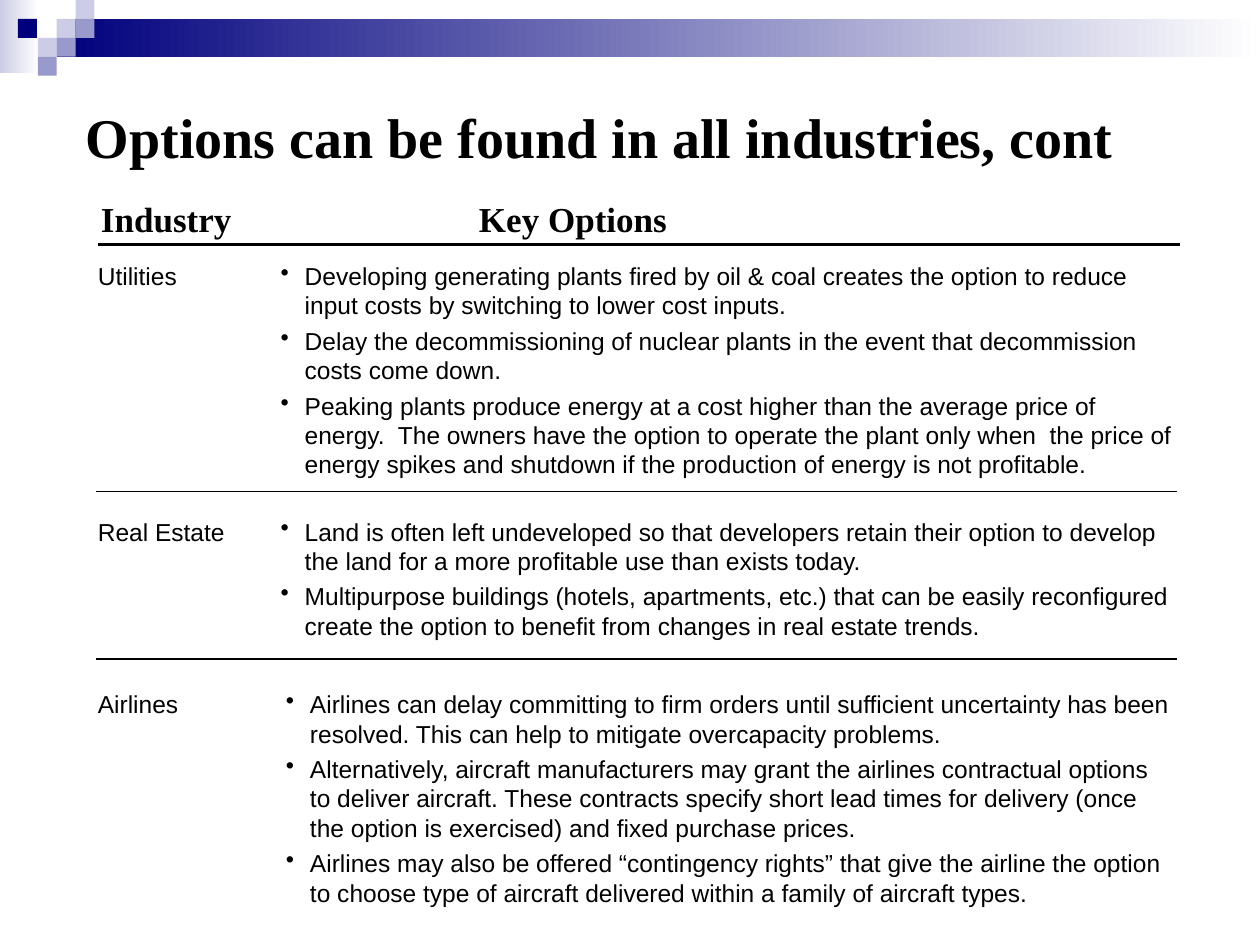
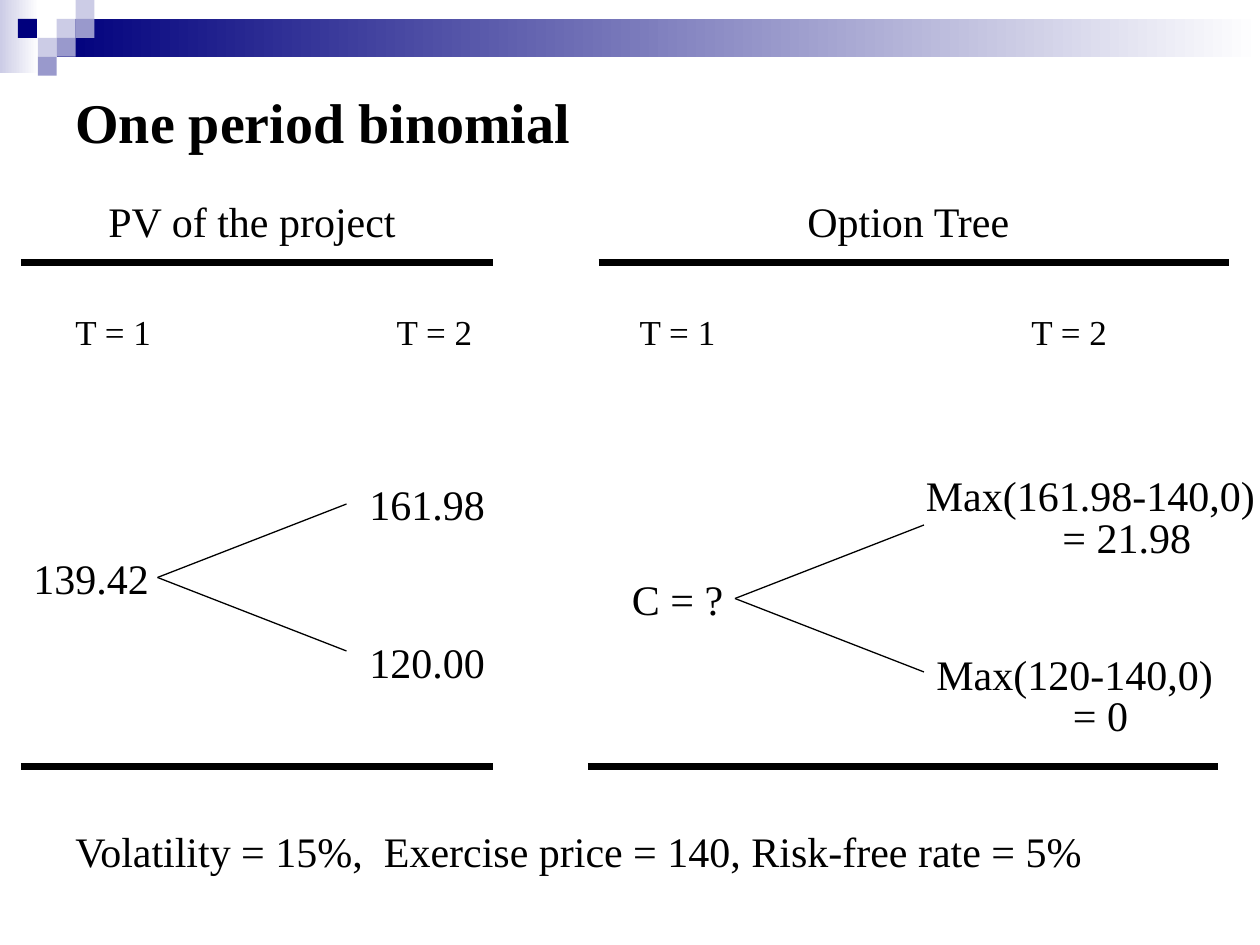
from collections import namedtuple
from dataclasses import dataclass

import pptx
import pptx.dml.color
import pptx.enum.shapes
import pptx.enum.text
import pptx.oxml
import pptx.oxml.ns
import pptx.util

PP = pptx.enum.text.PP_ALIGN
ANCHOR = pptx.enum.text.MSO_ANCHOR
qn = pptx.oxml.ns.qn

# Every length is in cells of a grid of 120 columns by 90 rows
WIDTH, HEIGHT = pptx.util.Inches(10), pptx.util.Inches(7.5)
COL, ROW = WIDTH / 120, HEIGHT / 90
Box = namedtuple("Box", "x y w h")


@dataclass(frozen=True)
class Theme:
    ink: str = "000000"
    white: str = "FFFFFF"
    navy: str = "00007D"
    violet: str = "9999CC"
    pale: str = "CCCCE6"
    serif: str = "Times New Roman"
    sans: str = "Arial"
    title: float = 32
    heading: float = 24
    label: float = 20
    body: float = 14
    hairline: float = 0.75
    thin: float = 1
    medium: float = 2
    heavy: float = 4.5


T = Theme()


def cols(n):
    return round(n * COL)


def rows(n):
    return round(n * ROW)


def place(box):
    return cols(box.x), rows(box.y), cols(box.w), rows(box.h)


def rgb(value):
    return pptx.dml.color.RGBColor.from_string(value)


def add_child(parent, tag, **attrs):
    el = pptx.oxml.ns and parent.makeelement(qn(tag), attrs)
    parent.append(el)
    return el


def add_text(slide, box, paragraphs, size=T.heading, font=T.serif, bold=False,
             align=PP.LEFT, anchor=ANCHOR.TOP, gap=0, spacing=None,
             bullet=False, hang=2.3, tab=None, later_indent=0):
    """Text box; gap is the space before each paragraph after the first."""
    tf = slide.shapes.add_textbox(*place(box)).text_frame
    tf.word_wrap = True
    tf.vertical_anchor = anchor
    for i, text in enumerate(paragraphs):
        p = tf.paragraphs[0] if i == 0 else tf.add_paragraph()
        p.alignment = align
        if spacing:
            p.line_spacing = spacing
        if i:
            p.space_before = pptx.util.Pt(gap)
        pPr = p._p.get_or_add_pPr()
        if bullet:
            pPr.set("marL", str(cols(hang)))
            pPr.set("indent", str(-cols(hang)))
            add_child(add_child(pPr, "a:buClr"), "a:srgbClr", val=T.ink)
            add_child(pPr, "a:buChar", char="•")
        elif i and later_indent:
            pPr.set("marL", str(cols(later_indent)))
            pPr.set("indent", "0")
        if tab:
            add_child(add_child(pPr, "a:tabLst"), "a:tab",
                      pos=str(cols(tab)), algn="l")
        r = p.add_run()
        r.text = text
        r.font.name, r.font.size, r.font.bold = font, pptx.util.Pt(size), bold
        r.font.color.rgb = rgb(T.ink)


def add_line(slide, x1, y1, x2, y2, weight):
    line = slide.shapes.add_connector(
        pptx.enum.shapes.MSO_CONNECTOR.STRAIGHT,
        cols(x1), rows(y1), cols(x2), rows(y2))
    line.line.color.rgb = rgb(T.ink)
    line.line.width = pptx.util.Pt(weight)
    add_child(line._element.spPr, "a:effectLst")


def add_rect(slide, box, color, fade_to=None):
    sp = slide.shapes.add_shape(
        pptx.enum.shapes.MSO_SHAPE.RECTANGLE, *place(box))
    sp.shadow.inherit = False
    sp.line.fill.background()
    if fade_to is None:
        sp.fill.solid()
        sp.fill.fore_color.rgb = rgb(color)
        return
    sp.fill.gradient()
    sp.fill.gradient_angle = 0
    for stop, position, shade in zip(sp.fill.gradient_stops, (0, 1), (color, fade_to)):
        stop.position = position
        stop.color.rgb = rgb(shade)


# Shared frame: blended bands, mosaic and title
def add_mosaic_band(slide, tile=1.8):
    add_rect(slide, Box(0, 0, 3.7, 7), T.pale, fade_to=T.white)
    add_rect(slide, Box(3 * tile, tile, 120 - 3 * tile, 2 * tile),
             T.navy, fade_to=T.white)
    mosaic = {T.pale: [(3, 1), (4, 0), (2, 2)],
              T.violet: [(4, 1), (3, 2), (2, 3)],
              T.navy: [(0.95, 1)]}
    for color, tiles in mosaic.items():
        for x, y in tiles:
            add_rect(slide, Box(x * tile, y * tile, tile, tile), color)


def new_slide(prs, title, title_box):
    slide = prs.slides.add_slide(prs.slide_layouts[6])
    add_mosaic_band(slide)
    add_text(slide, title_box, [title], size=T.title, bold=True,
             anchor=ANCHOR.MIDDLE)
    return slide


# Industry table: heading row, then one ruled row per industry
def add_industry_heading(slide, box):
    add_text(slide, Box(box.x - 0.7, box.y, box.w, box.h),
             ["Industry\tKey Options"], size=T.label, bold=True, tab=36)
    bottom = box.y + box.h
    add_line(slide, box.x + 0.24, bottom, box.x + box.w + 0.24, bottom, T.medium)


def add_industry_row(slide, box, industry, options, shift=0, ruled=True):
    add_text(slide, Box(box.x - 1, box.y, 25, 4), [industry],
             size=T.body, font=T.sans)
    add_text(slide, Box(box.x + 16.4 + shift, box.y, 88 - 1.6 * shift, box.h),
             options, size=T.body, font=T.sans, gap=3.5, bullet=True)
    if ruled:
        bottom = box.y + box.h
        add_line(slide, box.x, bottom, box.x + box.w, bottom, T.thin)


def build_industries(prs):
    slide = new_slide(prs, "Options can be found in all industries, cont",
                      Box(7, 4, 108, 18))
    left, width = 9.14, 102.96
    add_industry_heading(slide, Box(left, 18.24, width, 5.04))
    add_industry_row(slide, Box(left, 24.24, width, 22.56), "Utilities", [
        "Developing generating plants fired by oil & coal creates the option "
        "to reduce input costs by switching to lower cost inputs.",
        "Delay the decommissioning of nuclear plants in the event that "
        "decommission costs come down.",
        "Peaking plants produce energy at a cost higher than the average price "
        "of energy.  The owners have the option to operate the plant only when  "
        "the price of energy spikes and shutdown if the production of energy is "
        "not profitable."])
    add_industry_row(slide, Box(left, 48.6, width, 14.16), "Real Estate", [
        "Land is often left undeveloped so that developers retain their option "
        "to develop the land for a more profitable use than exists today.",
        "Multipurpose buildings (hotels, apartments, etc.) that can be easily "
        "reconfigured create the option to benefit from changes in real estate "
        "trends."])
    add_industry_row(slide, Box(left, 65.04, width, 22), "Airlines", [
        "Airlines can delay committing to firm orders until sufficient "
        "uncertainty has been resolved. This can help to mitigate overcapacity "
        "problems.",
        "Alternatively, aircraft manufacturers may grant the airlines "
        "contractual options to deliver aircraft. These contracts specify short "
        "lead times for delivery (once the option is exercised) and fixed "
        "purchase prices.",
        "Airlines may also be offered “contingency rights” that give the "
        "airline the option to choose type of aircraft delivered within a "
        "family of aircraft types."], shift=0.5, ruled=False)


# Binomial panel: heading, rules, period labels and a two-way fork
def add_tree_panel(slide, box, heading, periods_x, periods_tab, drop,
                   root, root_x, leaves, foot_shift=0):
    right, bottom = box.x + box.w, box.y + box.h
    add_text(slide, Box(box.x - 0.5, box.y - 7, box.w, 6), [heading],
             align=PP.CENTER)
    add_line(slide, box.x, box.y, right, box.y, T.heavy)
    add_line(slide, box.x + foot_shift, bottom, right + foot_shift, bottom, T.heavy)
    add_text(slide, Box(box.x + periods_x, box.y + 4, 49, 5.25),
             ["T = 1\tT = 2"], size=T.label, tab=periods_tab)

    fork_x, fork_y = box.x + 13, box.y + drop
    for rise in (-7, 7):
        add_line(slide, fork_x, fork_y, fork_x + 18, fork_y + rise, T.hairline)
    add_text(slide, Box(box.x + root_x, fork_y - 3, 14, 6), [root])
    for x, y, width, lines in leaves:
        add_text(slide, Box(box.x + x, fork_y + y, width, 6), lines, gap=15,
                 spacing=0.3 if len(lines) > 1 else None, later_indent=13)


def build_binomial(prs):
    slide = new_slide(prs, "One period binomial", Box(6, 6, 108, 11))
    add_tree_panel(slide, Box(2, 25, 45, 48), "PV of the project",
                   periods_x=4, periods_tab=30.6, drop=30,
                   root="139.42", root_x=0,
                   leaves=[(32, -10, 18, ["161.98"]), (32, 5, 18, ["120.00"])])
    add_tree_panel(slide, Box(57, 25, 60, 48), "Option Tree",
                   periods_x=2.75, periods_tab=37.3, drop=32,
                   root="C = ?", root_x=2, foot_shift=-1,
                   leaves=[(30, -10, 38, ["Max(161.98-140,0)", "= 21.98"]),
                           (31, 7, 35, ["Max(120-140,0)", "= 0"])])
    add_text(slide, Box(6, 78, 103, 6),
             ["Volatility = 15%,  Exercise price = 140, Risk-free rate = 5%"])


def main():
    prs = pptx.Presentation()
    prs.slide_width, prs.slide_height = WIDTH, HEIGHT
    build_industries(prs)
    build_binomial(prs)
    prs.save("out.pptx")


if __name__ == "__main__":
    main()
